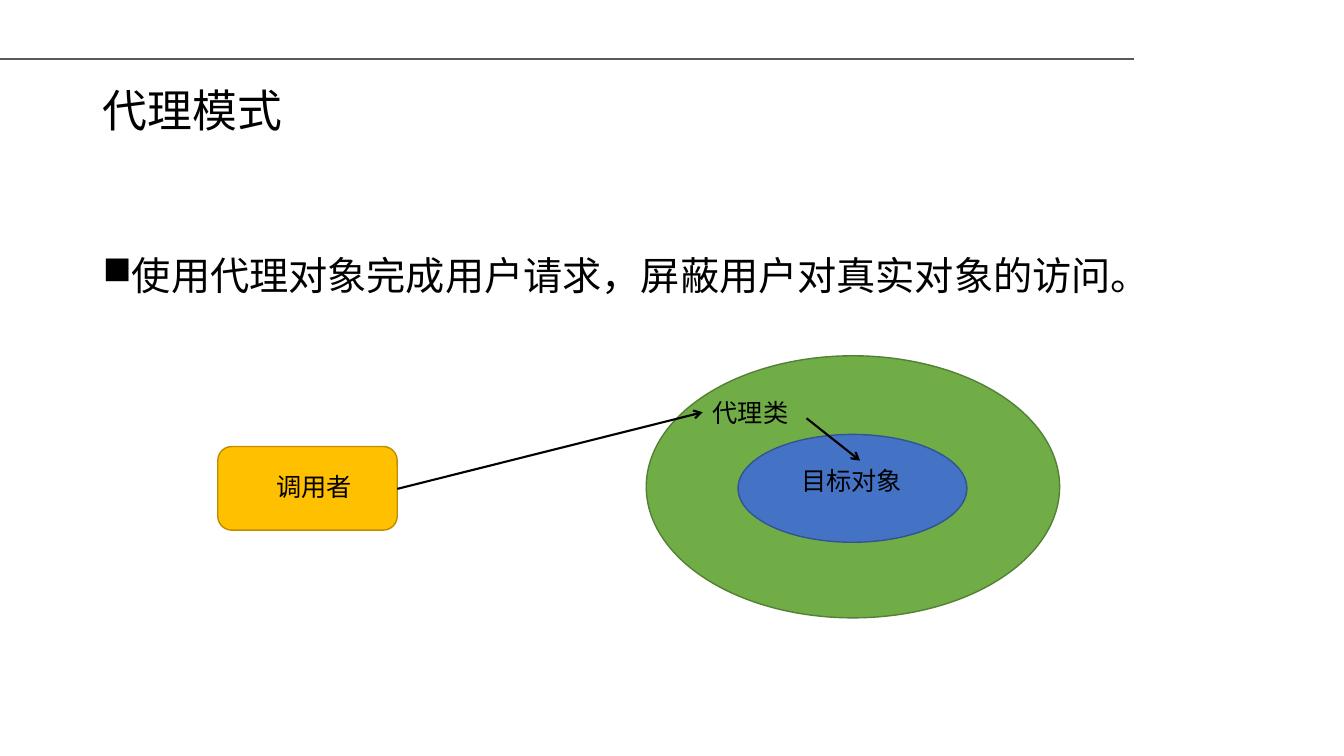
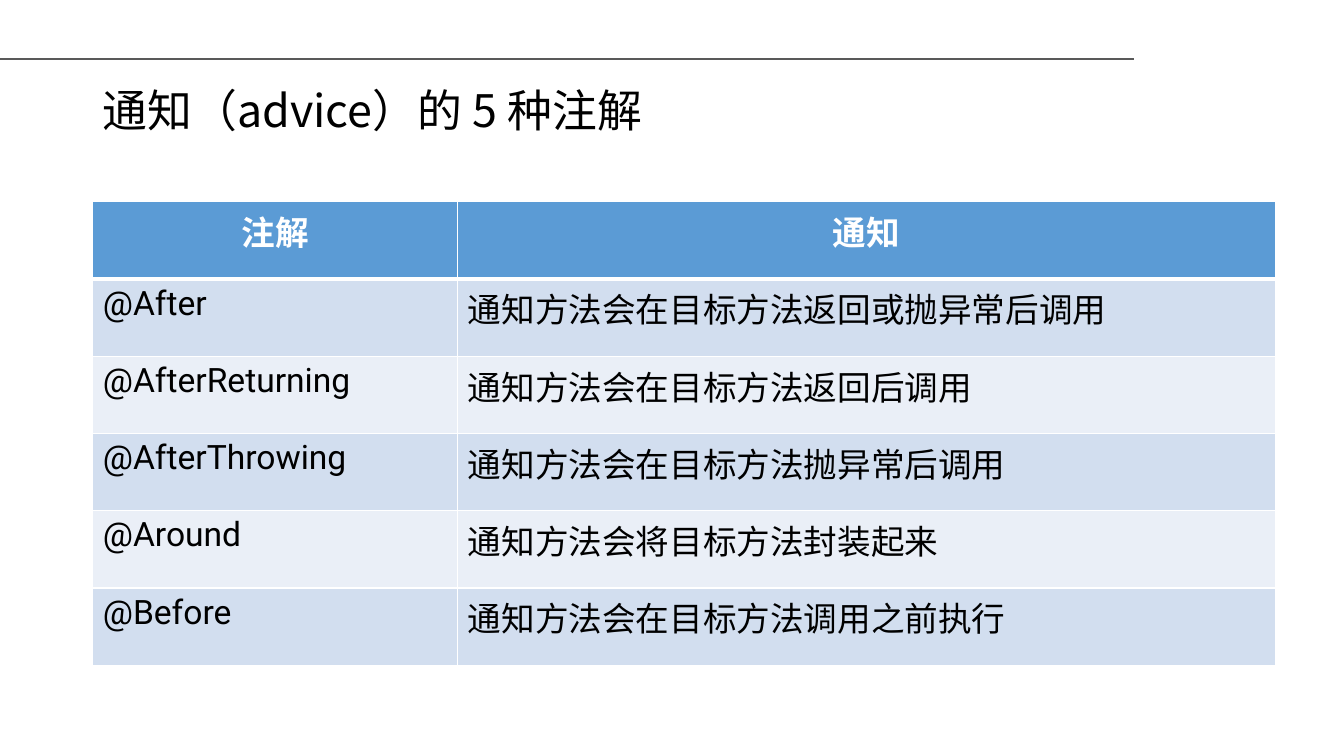
from lxml import etree
from pptx import Presentation
from pptx import util as u
from pptx.dml.color import RGBColor
from pptx.enum import shapes, text
from pptx.oxml.ns import qn

SCALE = 9144
SANS, LABEL, CODE = "Noto Sans CJK SC", "Calibri", "Roboto"
BLACK, WHITE, RULE = "000000", "FFFFFF", "595959"
HEADER, BANDS = "5B9BD5", ("D2DEEF", "EAEFF7")
TITLE_BOX = (92, 40, 1150, 145)
RULE_ENDS = (0, 59, 1125, 59)

PROXY_TITLE = "代理模式"
PROXY_POINT = "使用代理对象完成用户请求，屏蔽用户对真实对象的访问。"
POINT_BOX = (92, 200, 1150, 146)
ROUND, OVAL = shapes.MSO_SHAPE.ROUNDED_RECTANGLE, shapes.MSO_SHAPE.OVAL
NODES = [
    (ROUND, (216, 443, 178, 83), "FFC000", "BD8E00"),
    (OVAL, (641, 353, 410, 260), "70AD47", "538035"),
    (OVAL, (732, 431, 227, 107), "4472C4", "325491"),
]
ARROWS = [(800, 415, 853, 457), (394, 485, 697, 409)]
LABELS = [
    ("目标对象", (785, 457, 136, 40)),
    ("代理类", (697, 389, 191, 40)),
    ("调用者", (264, 463, 130, 40)),
]

ADVICE_TITLE = "通知（advice）的 5 种注解"
ADVICE_ROWS = [
    ("注解", "通知"),
    ("@After", "通知方法会在目标方法返回或抛异常后调用"),
    ("@AfterReturning", "通知方法会在目标方法返回后调用"),
    ("@AfterThrowing", "通知方法会在目标方法抛异常后调用"),
    ("@Around", "通知方法会将目标方法封装起来"),
    ("@Before", "通知方法会在目标方法调用之前执行"),
]
TABLE_AT, TABLE_HEIGHT, COLUMNS = (92, 200), 460, (362, 811)


def px(*lengths):
    return [u.Emu(length * SCALE) for length in lengths]


def color(value):
    return RGBColor.from_string(value)


def write(frame, words, size=18, font=LABEL, fill=BLACK, bold=False,
          align=text.PP_ALIGN.LEFT, anchor=text.MSO_ANCHOR.TOP,
          spacing=None, bullet=None):
    frame.word_wrap = True
    frame.vertical_anchor = anchor
    para = frame.paragraphs[0]
    para.alignment = align
    if spacing:
        para.line_spacing = spacing
    if bullet:
        props = para._p.get_or_add_pPr()
        indent = 25 * SCALE
        props.set("marL", str(indent))
        props.set("indent", str(-indent))
        etree.SubElement(props, qn("a:buChar"), char=bullet)
    span = para.add_run()
    span.text = words
    span.font.size = u.Pt(size)
    span.font.bold = bold
    span.font.name = font
    span.font.color.rgb = color(fill)
    etree.SubElement(span._r.get_or_add_rPr(), qn("a:ea"), typeface=font)


def add_text(page, words, place, **style):
    box = page.shapes.add_textbox(*px(*place))
    write(box.text_frame, words, **style)


def add_line(page, ends, stroke, arrow=False):
    line = page.shapes.add_connector(shapes.MSO_CONNECTOR.STRAIGHT, *px(*ends))
    line.line.color.rgb = color(stroke)
    line.line.width = u.Pt(1.5)
    if arrow:
        etree.SubElement(line.line._get_or_add_ln(), qn("a:tailEnd"), type="arrow")
    etree.SubElement(line._element.spPr, qn("a:effectLst"))


def add_node(page, kind, place, fill, stroke):
    node = page.shapes.add_shape(kind, *px(*place))
    node.shadow.inherit = False
    node.fill.solid()
    node.fill.fore_color.rgb = color(fill)
    node.line.color.rgb = color(stroke)
    node.line.width = u.Pt(1)


def add_page(deck, title):
    page = deck.slides.add_slide(deck.slide_layouts[6])
    add_text(page, title, TITLE_BOX, size=32, font=SANS, spacing=0.9,
             anchor=text.MSO_ANCHOR.MIDDLE)
    add_line(page, RULE_ENDS, RULE)
    return page


def style_cell(cell, fill, bottom):
    props = cell._tc.get_or_add_tcPr()
    for side, width in (("L", 1), ("R", 1), ("T", 1), ("B", bottom)):
        edge = etree.SubElement(props, qn(f"a:ln{side}"), w=str(u.Pt(width)))
        paint = etree.SubElement(edge, qn("a:solidFill"))
        etree.SubElement(paint, qn("a:srgbClr"), val=WHITE)
    cell.fill.solid()
    cell.fill.fore_color.rgb = color(fill)


def add_advice_table(page):
    frame = page.shapes.add_table(len(ADVICE_ROWS), len(COLUMNS),
                                  *px(*TABLE_AT, sum(COLUMNS), TABLE_HEIGHT))
    table = frame.table
    for column, width in zip(table.columns, px(*COLUMNS)):
        column.width = width
    for r, row in enumerate(ADVICE_ROWS):
        for c, words in enumerate(row):
            cell = table.cell(r, c)
            if r == 0:
                style_cell(cell, HEADER, 3)
                write(cell.text_frame, words, size=24, font=SANS, fill=WHITE,
                      bold=True, align=text.PP_ALIGN.CENTER)
            else:
                style_cell(cell, BANDS[(r - 1) % 2], 1)
                write(cell.text_frame, words, size=24, font=(CODE, SANS)[c])


def main():
    deck = Presentation()
    deck.slide_width, deck.slide_height = u.Inches(13.33), u.Inches(7.5)

    page = add_page(deck, PROXY_TITLE)
    add_text(page, PROXY_POINT, POINT_BOX, size=28, font=SANS, bullet="■",
             anchor=text.MSO_ANCHOR.MIDDLE)
    for node in NODES:
        add_node(page, *node)
    for ends in ARROWS:
        add_line(page, ends, BLACK, arrow=True)
    for words, place in LABELS:
        add_text(page, words, place)

    add_advice_table(add_page(deck, ADVICE_TITLE))
    deck.save("out.pptx")


if __name__ == "__main__":
    main()
